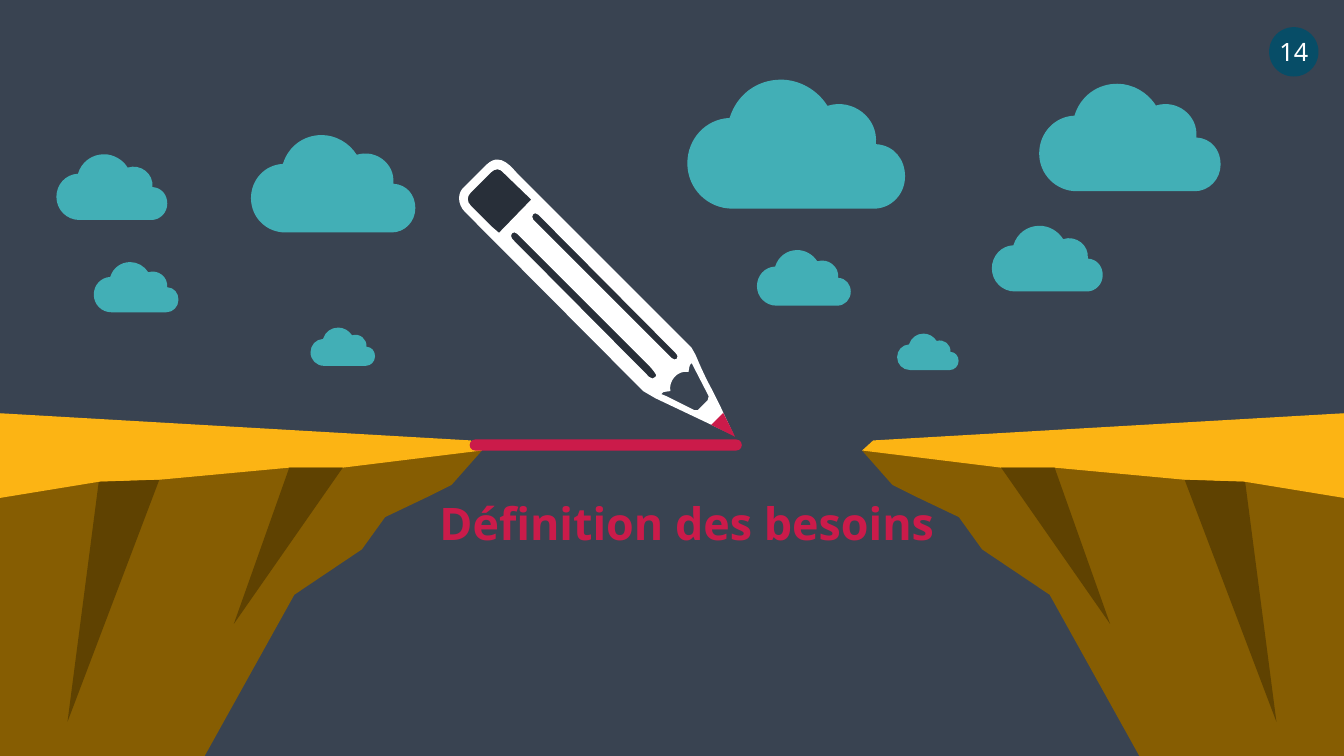
from pptx import Presentation
from pptx.dml.color import RGBColor
from pptx.enum.shapes import MSO_SHAPE as Preset
from pptx.enum.text import MSO_ANCHOR as Anchor, MSO_AUTO_SIZE as AutoSize, PP_ALIGN as Align
from pptx.oxml.ns import qn
from pptx.oxml.xmlchemy import OxmlElement
from pptx.util import Pt

SLIDE_WIDTH, SLIDE_HEIGHT = 960, 540
NIGHT, TEAL, RED, WHITE, NAVY = "394351", "42AFB6", "CB1B4A", "FFFFFF", "074D67"
ROCK, GRASS, CRACK, GRAPHITE = "865D02", "FCB414", "5F4201", "282F39"
FONT = "Noto Sans"

CLOUD_UNITS = 216
CLOUD_OUTLINE = [
    (187, 64), (205, 65, 216, 79, 216, 96), (216, 114, 202, 128, 185, 128),
    (45, 128), (20, 128, 0, 108, 0, 83), (0, 59, 18, 39, 42, 38),
    (49, 15, 69, 0, 93, 0), (111, 0, 129, 10, 139, 26), (164, 18, 190, 38, 187, 64),
]
CLOUDS = [
    (742.3, 59.8, 129.6), (491, 56.9, 155.5), (67, 187.2, 60.5),
    (708.5, 161.3, 79.2), (179.3, 96.5, 117.4), (221.8, 234, 46.1),
    (540.7, 178.6, 67), (40.3, 110.2, 79.2), (640.8, 238.3, 43.9),
]

PENCIL_UNITS = 275
PENCIL_BODY = [
    (253, 236), (247, 225, 242, 214, 237, 202), (233, 195), (62, 24),
    (55, 17, 44, 0, 30, 13), (8, 35), (0, 41, 1, 53, 8, 60), (185, 238),
    (197, 245), (275, 282), (262, 254),
]
ERASER_HOLE = [
    (35, 75), (14, 54), (10, 50, 10, 45, 14, 41), (34, 21),
    (38, 17, 43, 17, 46, 21), (74, 48), (42, 81),
]
LOWER_GROOVE = [
    (197, 224), (196, 226, 193, 226, 191, 224), (55, 87),
    (52, 83, 56, 78, 60, 82), (192, 214), (198, 221, 199, 223, 197, 224),
]
UPPER_GROOVE = [
    (213, 205), (76, 68), (73, 64, 77, 59, 81, 63),
    (217, 200), (222, 205, 217, 209, 213, 205),
]
POINT_HOLE = [
    (249, 247), (239, 257), (236, 257), (208, 243), (203, 241),
    (204, 239, 204, 239, 212, 238), (210, 228, 219, 217, 230, 219),
    (231, 216, 230, 213, 233, 210), (250, 243),
]

CLIFF_UNITS = 478
CLIFF_LAYERS = [
    (ROCK, [(448, 71), (424, 83), (382, 103), (359, 135), (292, 180),
            (203, 340), (0, 340), (0, 68), (478, 37)]),
    (GRASS, [(478, 37), (340, 54), (287, 54), (158, 66), (98, 68),
             (0, 84), (0, 0), (467, 27)]),
    (CRACK, [(67, 306), (98, 68), (158, 66)]),
    (CRACK, [(232, 209), (287, 54), (340, 54)]),
]


def color(value):
    return RGBColor.from_string(value)


def paint(shape, fill):
    shape.fill.solid()
    shape.fill.fore_color.rgb = color(fill)
    shape.line.fill.background()
    shape.shadow.inherit = False


def bend_curves(shape, contours):
    geometry = shape._element.find(".//" + qn("a:path"))
    lines = iter(geometry.findall(qn("a:lnTo")))
    for contour in contours:
        for segment in contour[1:]:
            group = [next(lines) for _ in range(len(segment) // 2)]
            if len(group) == 3:
                curve = OxmlElement("a:cubicBezTo")
                group[0].addprevious(curve)
                for line in group:
                    curve.append(line[0])
                    geometry.remove(line)


def add_outline(slide, contours, fill, left, top, scale, mirror_units=None):
    def place(x, y):
        if mirror_units:
            x = mirror_units - x
        return Pt(left + x * scale), Pt(top + y * scale)

    builder = None
    for contour in contours:
        start, *rest = [place(*segment[index:index + 2])
                        for segment in contour for index in range(0, len(segment), 2)]
        if builder is None:
            builder = slide.shapes.build_freeform(*start)
        else:
            builder.move_to(*start)
        builder.add_line_segments(rest, close=True)
    shape = builder.convert_to_shape()
    bend_curves(shape, contours)
    paint(shape, fill)


def add_preset(slide, preset, fill, left, top, width, height, rotation=0):
    shape = slide.shapes.add_shape(preset, Pt(left), Pt(top), Pt(width), Pt(height))
    shape.rotation = rotation
    paint(shape, fill)
    return shape


def write_text(shape, text, frame_format, size, fill, bold, alignment):
    frame = shape.text_frame
    frame.text = text
    for name, value in frame_format.items():
        setattr(frame, name, value)
    paragraph = frame.paragraphs[0]
    paragraph.alignment = alignment
    font = paragraph.runs[0].font
    for name, value in {"name": FONT, "size": Pt(size), "bold": bold}.items():
        setattr(font, name, value)
    font.color.rgb = color(fill)


def add_cliff(slide, left, top, width, mirrored):
    for fill, outline in CLIFF_LAYERS:
        add_outline(slide, [outline], fill, left, top, width / CLIFF_UNITS,
                    CLIFF_UNITS if mirrored else None)


def add_pencil(slide, left, top, width):
    scale = width / 198
    add_preset(slide, Preset.RECTANGLE, GRAPHITE, left - 10.8 * scale, top + 70.6 * scale,
               190 * scale, 37.4 * scale, 225)
    contours = [PENCIL_BODY, ERASER_HOLE, LOWER_GROOVE, UPPER_GROOVE, POINT_HOLE]
    add_outline(slide, contours, WHITE, left, top, width / PENCIL_UNITS)
    add_preset(slide, Preset.ISOSCELES_TRIANGLE, RED, left + 186.4 * scale,
               top + 188.6 * scale, 12.2 * scale, 18 * scale, 135)


def add_drawn_line(slide, left, top, width, height):
    stroke = add_preset(slide, Preset.ROUNDED_RECTANGLE, RED, left, top, width, height)
    stroke.adjustments[0] = 0.5


def add_title(slide, left, top, width, height):
    title = slide.shapes.title
    box = {"left": left, "top": top, "width": width, "height": height}
    for name, value in box.items():
        setattr(title, name, Pt(value))
    frame_format = {"auto_size": AutoSize.NONE, "word_wrap": True,
                    "vertical_anchor": Anchor.MIDDLE}
    write_text(title, "Définition des besoins", frame_format, 32, RED, True, Align.LEFT)


def add_page_badge(slide, left, top, size):
    badge = add_preset(slide, Preset.OVAL, NAVY, left, top, size, size)
    frame_format = {"word_wrap": False, "vertical_anchor": Anchor.MIDDLE}
    write_text(badge, "14", frame_format, 18, WHITE, False, Align.CENTER)


def main():
    presentation = Presentation()
    presentation.slide_width, presentation.slide_height = Pt(SLIDE_WIDTH), Pt(SLIDE_HEIGHT)
    slide = presentation.slides.add_slide(presentation.slide_layouts[5])
    slide.background.fill.solid()
    slide.background.fill.fore_color.rgb = color(NIGHT)

    cliff_width = 344.2
    add_cliff(slide, SLIDE_WIDTH - cliff_width, 295.2, cliff_width, True)
    add_cliff(slide, 0, 295.2, cliff_width, False)
    add_pencil(slide, 326.2, 108, 198)
    add_drawn_line(slide, 335.5, 313.9, 194.4, 7.9)
    for left, top, width in CLOUDS:
        add_outline(slide, [CLOUD_OUTLINE], TEAL, left, top, width / CLOUD_UNITS)
    add_title(slide, 306.7, 349.9, 388.8, 46.1)
    add_page_badge(slide, 906.5, 19.4, 35.3)
    presentation.save("out.pptx")


if __name__ == "__main__":
    main()
